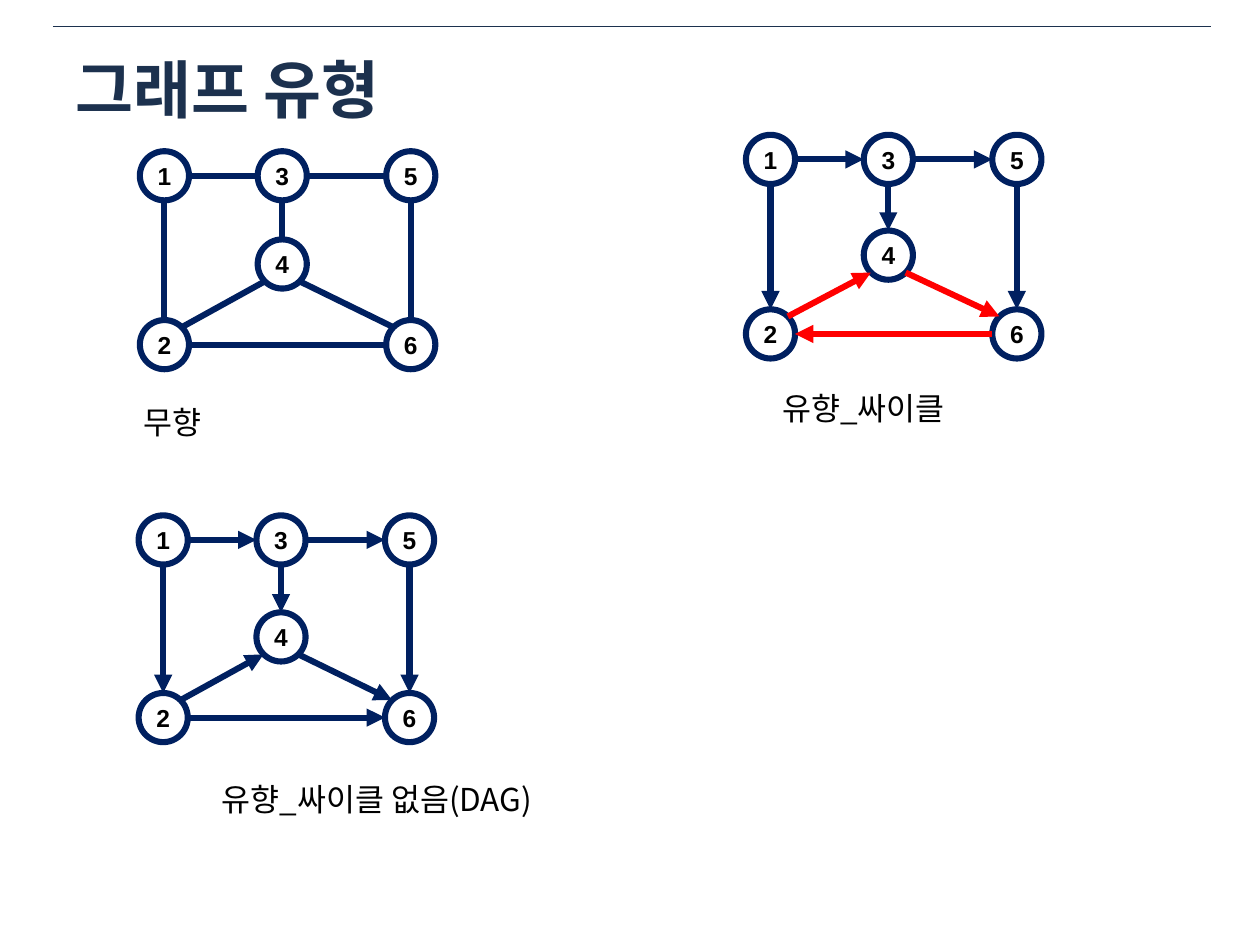
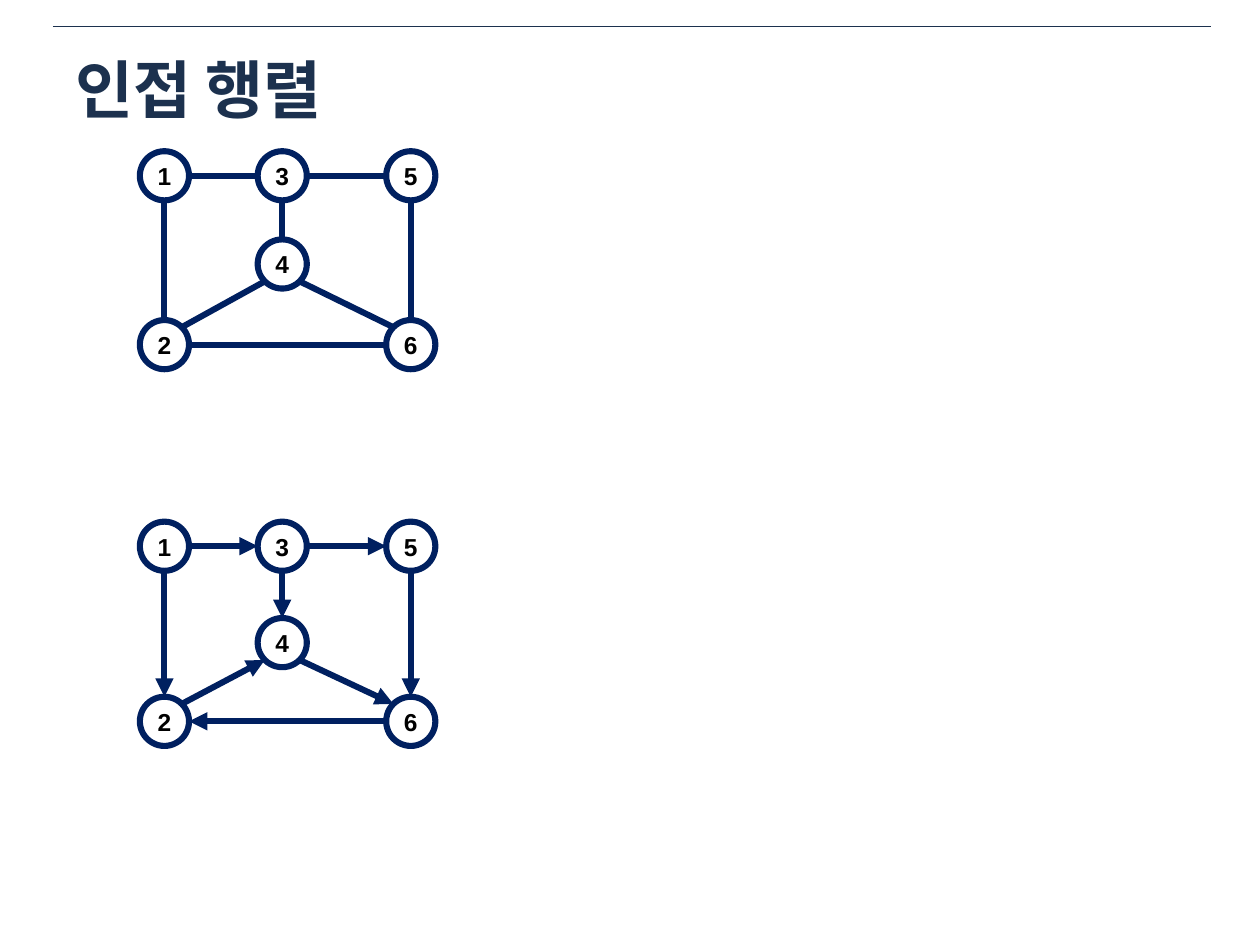
import pptx
import pptx.util
import pptx.dml.color
import pptx.enum.shapes
import pptx.enum.text
import pptx.oxml.ns
import lxml.etree

Inches = pptx.util.Inches
Pt = pptx.util.Pt
RGBColor = pptx.dml.color.RGBColor
qn = pptx.oxml.ns.qn

TITLE_COLOR = RGBColor(0x1C, 0x31, 0x4E)
NAVY = RGBColor(0x00, 0x20, 0x60)
RED = RGBColor(0xFF, 0x00, 0x00)
BLACK = RGBColor(0x00, 0x00, 0x00)
KOREAN_FONT = "Noto Sans CJK KR"
NODE_FONT = "Arial"

NODE_SIZE = 0.39
EDGE_WIDTH = 3.5
MIDDLE_COLUMN = 0.935
RIGHT_COLUMN = 1.955

LEFT, RIGHT, UP, DOWN = (-1, 0), (1, 0), (0, -1), (0, 1)
UP_LEFT, UP_RIGHT = (-0.71, -0.71), (0.71, -0.71)
DOWN_LEFT, DOWN_RIGHT = (-0.71, 0.71), (0.71, 0.71)

OUTER_EDGES = [
    (1, RIGHT, 3, LEFT),
    (3, RIGHT, 5, LEFT),
    (3, DOWN, 4, UP),
    (1, DOWN, 2, UP),
    (5, DOWN, 6, UP),
]
TRIANGLE_SIDES = [(2, UP_RIGHT, 4, DOWN_LEFT), (4, DOWN_RIGHT, 6, UP_LEFT)]
DAG_TRIANGLE = TRIANGLE_SIDES + [(2, RIGHT, 6, LEFT)]
CYCLE_TRIANGLE = TRIANGLE_SIDES + [(6, LEFT, 2, RIGHT)]

UNDIRECTED = (1.11, 1.2, 0.7, 1.34, DAG_TRIANGLE, NAVY, False)
SLIDES = [
    (
        "그래프 유형",
        [
            (5.92, 1.07, 0.76, 1.385, CYCLE_TRIANGLE, RED, True),
            UNDIRECTED,
            (1.1, 4.09, 0.77, 1.41, DAG_TRIANGLE, NAVY, True),
        ],
        [
            ("무향", 1.04, 3.15, 0.71),
            ("유향_싸이클", 6.11, 3.04, 1.53),
            ("유향_싸이클 없음(DAG)", 1.66, 6.14, 2.85),
        ],
    ),
    (
        "인접 행렬",
        [(1.11, 4.14, 0.765, 1.39, CYCLE_TRIANGLE, NAVY, True), UNDIRECTED],
        [],
    ),
]


def add_line(shapes, start, end, color, width, arrow=False):
    connector = shapes.add_connector(
        pptx.enum.shapes.MSO_CONNECTOR.STRAIGHT,
        *[Inches(value) for value in (*start, *end)],
    )
    connector.line.color.rgb = color
    connector.line.width = Pt(width)
    if arrow:
        line = connector.line._get_or_add_ln()
        lxml.etree.SubElement(line, qn("a:tailEnd"), type="triangle")
    lxml.etree.SubElement(connector._element.spPr, qn("a:effectLst"))


def set_text(shape, text, font_name, size, color, bold, alignment):
    shape.text_frame.text = text
    paragraph = shape.text_frame.paragraphs[0]
    paragraph.alignment = alignment
    paragraph.font.name = font_name
    paragraph.font.size = Pt(size)
    paragraph.font.bold = bold
    paragraph.font.color.rgb = color
    properties = paragraph.font._element
    lxml.etree.SubElement(properties, qn("a:ea"), typeface=font_name)


presentation = pptx.Presentation()
presentation.slide_width = Inches(10)
presentation.slide_height = Inches(7.5)
align = pptx.enum.text.PP_ALIGN
anchor = pptx.enum.text.MSO_ANCHOR

for title_text, graphs, captions in SLIDES:
    slide = presentation.slides.add_slide(presentation.slide_layouts[5])
    add_line(slide.shapes, (0.42, 0.21), (9.61, 0.21), TITLE_COLOR, 0.25)

    title = slide.shapes.title
    title.left, title.top = Inches(0.5), Inches(0.33)
    title.width, title.height = Inches(9), Inches(0.75)
    title.text_frame.vertical_anchor = anchor.MIDDLE
    set_text(title, title_text, KOREAN_FONT, 36, TITLE_COLOR, True, align.LEFT)

    for left, top, inner_row, bottom_row, triangle, triangle_color, directed in graphs:
        group = slide.shapes.add_group_shape()
        nodes = {
            1: (left, top),
            2: (left, top + bottom_row),
            3: (left + MIDDLE_COLUMN, top),
            4: (left + MIDDLE_COLUMN, top + inner_row),
            5: (left + RIGHT_COLUMN, top),
            6: (left + RIGHT_COLUMN, top + bottom_row),
        }
        for number, (node_left, node_top) in nodes.items():
            node = group.shapes.add_shape(
                pptx.enum.shapes.MSO_SHAPE.OVAL,
                Inches(node_left), Inches(node_top),
                Inches(NODE_SIZE), Inches(NODE_SIZE),
            )
            node.shadow.inherit = False
            node.fill.background()
            node.line.color.rgb = NAVY
            node.line.width = Pt(EDGE_WIDTH)
            node.text_frame.margin_left = node.text_frame.margin_right = 0
            node.text_frame.vertical_anchor = anchor.MIDDLE
            set_text(node, str(number), NODE_FONT, 14, BLACK, True, align.CENTER)

        for edges, color in ((OUTER_EDGES, NAVY), (triangle, triangle_color)):
            for start, start_side, end, end_side in edges:
                start_point, end_point = [
                    [corner + NODE_SIZE / 2 * (1 + offset)
                     for corner, offset in zip(nodes[number], side)]
                    for number, side in ((start, start_side), (end, end_side))
                ]
                add_line(group.shapes, start_point, end_point, color, EDGE_WIDTH, directed)

    for caption_text, left, top, width in captions:
        caption = slide.shapes.add_textbox(
            Inches(left), Inches(top), Inches(width), Inches(0.4)
        )
        caption.text_frame.word_wrap = True
        set_text(caption, caption_text, KOREAN_FONT, 18, BLACK, False, align.LEFT)

presentation.save("out.pptx")
